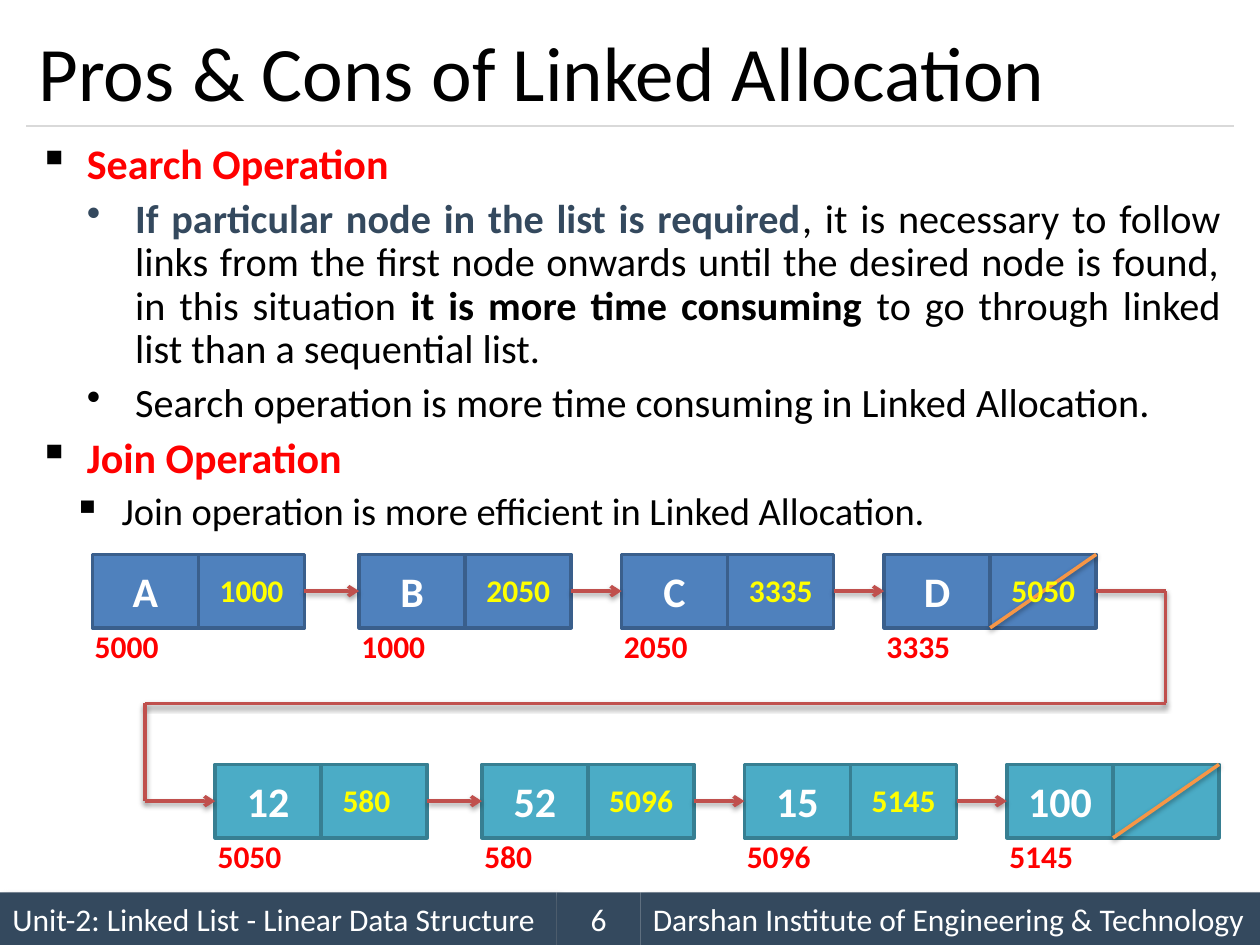
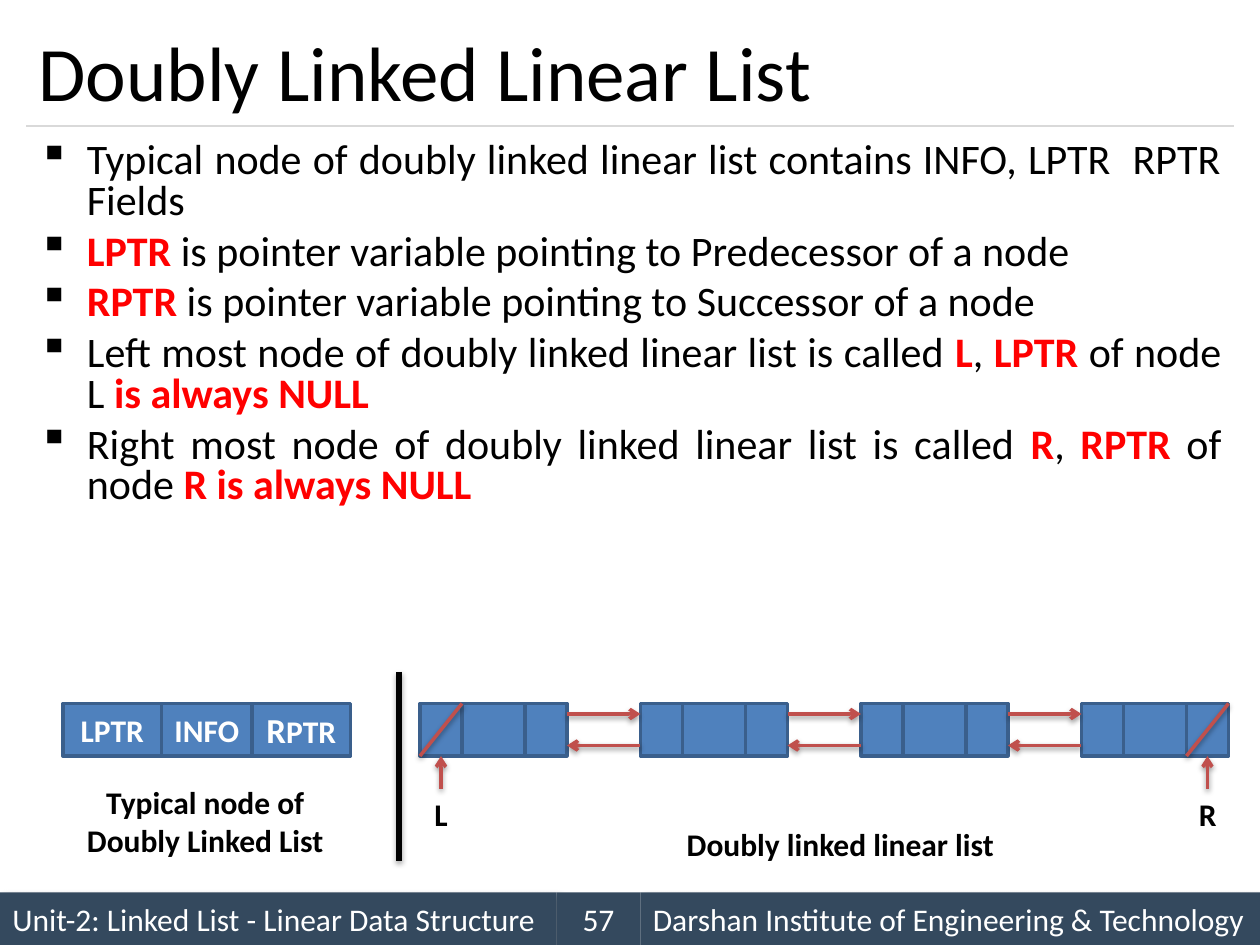
import pptx
import pptx.dml.color
import pptx.enum.shapes
import pptx.enum.text
import pptx.oxml
import pptx.oxml.ns
import pptx.util

# Grid: 120 columns by 90 rows, square cells
COLUMNS, ROWS = 120, 90
CELL = pptx.util.Inches(10) // COLUMNS

BLACK, WHITE, RED, YELLOW = "000000", "FFFFFF", "FF0000", "FFFF00"
SLATE, RULE_GREY, ARROW_RED, ORANGE = "34495E", "D9D9D9", "C0504D", "F79646"
BLUE_NODE = ("4F81BD", "3A5F8C")
TEAL_NODE = ("4BACC6", "377F92")

ALIGN = pptx.enum.text.PP_ALIGN
MIDDLE = pptx.enum.text.MSO_ANCHOR.MIDDLE
TOP = pptx.enum.text.MSO_ANCHOR.TOP
BOTTOM_SIDE, LEFT_SIDE, RIGHT_SIDE = 2, 1, 3
LINE_SHADOW = (38, 3.1, 1.6, 90)
BAND_SHADOW = (40, 4, 3, 45)

PLAIN = {"color": BLACK, "bold": False}
STRONG = {"color": BLACK, "bold": True}
KEY = {"color": RED, "bold": True}
SLATE_KEY = {"color": SLATE, "bold": True}

# Bullet levels: character, left indent in columns, fixed colour, size
HEADING = ("▪", 4.6, BLACK, 24)
DETAIL = ("•", 9.2, None, 23)
SUBPOINT = ("▪", 7.9, BLACK, 22)
HANG = 4.6


def grid(count):
    return pptx.util.Emu(round(count * CELL))


def rgb(value):
    return pptx.dml.color.RGBColor.from_string(value)


def apply(target, formats):
    for name, value in formats.items():
        setattr(target, name, value)


def xml(tag, parent, **attributes):
    element = parent.makeelement(pptx.oxml.ns.qn(tag), attributes)
    parent.append(element)
    return element


def set_effects(properties, shadow=None):
    effects = xml("a:effectLst", properties)
    if shadow:
        alpha, blur, distance, angle = shadow
        outer = xml("a:outerShdw", effects, blurRad=str(round(blur * 12700)),
                    dist=str(round(distance * 12700)), dir=str(angle * 60000), rotWithShape="0")
        xml("a:alpha", xml("a:srgbClr", outer, val=BLACK), val=str(alpha * 1000))


def add_run(paragraph, text, size, color=BLACK, bold=False):
    run = paragraph.add_run()
    run.text = text
    apply(run.font, {"name": "Calibri", "size": pptx.util.Pt(size), "bold": bold})
    run.font.color.rgb = rgb(color)


def add_text(slide, box, lines, size, color=BLACK, bold=False, align=ALIGN.LEFT,
             anchor=TOP, wrap=False):
    frame = slide.shapes.add_textbox(*map(grid, box)).text_frame
    apply(frame, {"word_wrap": wrap, "vertical_anchor": anchor})
    for number, line in enumerate(lines):
        paragraph = frame.add_paragraph() if number else frame.paragraphs[0]
        paragraph.alignment = align
        add_run(paragraph, line, size, color, bold)


def add_box(slide, box, fill, border=None, runs=(), bold=True, align=ALIGN.CENTER,
            margin=0, shadow=None):
    shape = slide.shapes.add_shape(pptx.enum.shapes.MSO_SHAPE.RECTANGLE, *map(grid, box))
    shape.fill.solid()
    shape.fill.fore_color.rgb = rgb(fill)
    if border:
        shape.line.color.rgb = rgb(border)
        shape.line.width = pptx.util.Pt(2)
    else:
        shape.line.fill.background()
    if shadow:
        set_effects(shape._element.spPr, shadow)
    else:
        shape.shadow.inherit = False
    frame = shape.text_frame
    apply(frame, {"margin_left": grid(margin), "margin_right": grid(margin),
                  "vertical_anchor": MIDDLE})
    frame.paragraphs[0].alignment = align
    for text, size in runs:
        add_run(frame.paragraphs[0], text, size, WHITE, bold)
    return shape


def add_line(slide, start, end, color=ARROW_RED, width=2, arrow=False,
             shadow=LINE_SHADOW, begin=None, finish=None):
    line = slide.shapes.add_connector(pptx.enum.shapes.MSO_CONNECTOR.STRAIGHT,
                                      *map(grid, (*start, *end)))
    line.line.color.rgb = rgb(color)
    line.line.width = pptx.util.Pt(width)
    if arrow:
        xml("a:tailEnd", line.line._get_or_add_ln(), type="arrow")
    set_effects(line._element.spPr, shadow)
    if begin:
        line.begin_connect(*begin)
    if finish:
        line.end_connect(*finish)


def add_bullets(slide, height, items, spacing):
    frame = slide.shapes.add_textbox(*map(grid, (2.5, 13, 115, height))).text_frame
    frame.word_wrap = True
    for number, (level, runs) in enumerate(items):
        character, indent, color, size = level
        paragraph = frame.add_paragraph() if number else frame.paragraphs[0]
        properties = paragraph._p.get_or_add_pPr()
        apply(paragraph, {"alignment": ALIGN.JUSTIFY, "line_spacing": spacing,
                          "space_before": pptx.util.Pt(6 if number else 0)})
        properties.set("marL", str(grid(indent)))
        properties.set("indent", str(-grid(HANG)))
        if color:
            xml("a:srgbClr", xml("a:buClr", properties), val=color)
        xml("a:buChar", properties, char=character)
        for text, style in runs:
            add_run(paragraph, text, size, **style)


def start_slide(deck, title, number):
    """Blank slide with the shared title, rule and footer bands."""
    slide = deck.slides.add_slide(deck.slide_layouts[6])
    bands = [
        (0, 53, "Unit-2: Linked List - Linear Data Structure", ALIGN.LEFT, BAND_SHADOW),
        (61, 59, "Darshan Institute of Engineering & Technology", ALIGN.LEFT, BAND_SHADOW),
        (53, 8, str(number), ALIGN.CENTER, None),
    ]
    for left, width, text, align, shadow in bands:
        add_box(slide, (left, 85, width, 5), SLATE, runs=[(text, 18)], bold=False,
                align=align, margin=1.2, shadow=shadow)
    add_line(slide, (2.5, 12), (117.5, 12), RULE_GREY, 0.75, shadow=None)
    add_text(slide, (2.5, 1.5, 115, 10.5), [title], 44, anchor=MIDDLE, wrap=True)
    return slide


def add_number(slide, left, top, text, color):
    add_text(slide, (left, top, 2.4 + 1.52 * len(text), 4.8), [text], 18, color, bold=True)


def add_chain(slide, left, top, colors, nodes):
    """Singly linked nodes (value, pointer, address); returns first and last cells."""
    width, height = 10.1, 7
    cells = []
    for offset, (value, pointer, address) in zip((0, 25.4, 50.4, 75.4), nodes):
        x = left + offset
        data = add_box(slide, (x, top, width, height), *colors, runs=[(value, 24)])
        link = add_box(slide, (x + width, top, width, height), *colors)
        if cells:
            add_line(slide, (x - 5, top), (x, top), arrow=True,
                     begin=(cells[-1], RIGHT_SIDE), finish=(data, LEFT_SIDE))
        if address == nodes[-1][2]:
            add_line(slide, (x + 2 * width, top), (x + width, top + height), ORANGE)
        add_number(slide, x - 0.96, top + 6.36, address, RED)
        if pointer:
            add_number(slide, x + width + 0.84, top + 1.04, pointer, YELLOW)
        cells += [data, link]
    return cells[0], cells[-1]


def build_linked_allocation(deck):
    slide = start_slide(deck, "Pros & Cons of Linked Allocation", 6)
    add_bullets(slide, 49.8, [
        (HEADING, [("Search Operation", KEY)]),
        (DETAIL, [("If particular node in the list is required", SLATE_KEY),
                  (", it is necessary to follow links from the first node onwards until "
                   "the desired node is found, in this situation ", PLAIN),
                  ("it is more time consuming ", STRONG),
                  ("to go through linked list than a sequential list.", PLAIN)]),
        (DETAIL, [("Search operation is more time consuming in Linked Allocation.", PLAIN)]),
        (HEADING, [("Join Operation", KEY)]),
        (SUBPOINT, [("Join operation is more efficient in Linked Allocation.", PLAIN)]),
    ], 0.9)

    # The two lists
    last_letter = add_chain(slide, 8.8, 52.8, BLUE_NODE, [
        ("A", "1000", "5000"), ("B", "2050", "1000"),
        ("C", "3335", "2050"), ("D", "5050", "3335")])[1]
    first_number = add_chain(slide, 20.5, 72.8, TEAL_NODE, [
        ("12", "580", "5050"), ("52", "5096", "580"),
        ("15", "5145", "5096"), ("100", "", "5145")])[0]

    # Route that joins them
    route = [(104.4, 56.3), (111, 56.3), (111, 67), (13.8, 67), (13.8, 76.3), (20.5, 76.3)]
    last = len(route) - 2
    for leg, (start, end) in enumerate(zip(route, route[1:])):
        add_line(slide, start, end, arrow=leg == last,
                 begin=None if leg else (last_letter, RIGHT_SIDE),
                 finish=(first_number, LEFT_SIDE) if leg == last else None)


def add_row(slide, left, top, widths, labels):
    """Adjoining cells of one doubly linked node."""
    cells = []
    for width, runs in zip(widths, labels):
        cells.append(add_box(slide, (left, top, width, 5), *BLUE_NODE, runs=runs))
        left += width
    return cells


def build_doubly_linked(deck):
    slide = start_slide(deck, "Doubly Linked Linear List", 57)
    add_bullets(slide, 39, [(HEADING, runs) for runs in (
        [("Typical node of doubly linked linear list contains INFO, LPTR  RPTR Fields", PLAIN)],
        [("LPTR ", KEY), ("is pointer variable pointing to Predecessor of a node", PLAIN)],
        [("RPTR ", KEY), ("is pointer variable pointing to Successor of a node", PLAIN)],
        [("Left most node of doubly linked linear list is called ", PLAIN), ("L", KEY),
         (", ", PLAIN), ("LPTR ", KEY), ("of node L", PLAIN), (" is always NULL", KEY)],
        [("Right most node of doubly linked linear list is called ", PLAIN), ("R", KEY),
         (", ", PLAIN), ("RPTR ", KEY), ("of node ", PLAIN), ("R is always NULL", KEY)],
    )], 0.8)

    # Typical node and divider
    top = 67
    add_row(slide, 6, top, (9.4, 8.6, 9.4),
            ([("LPTR", 18)], [("INFO", 18)], [("R", 20), ("PTR", 18)]))
    add_line(slide, (38, 64), (38, 82), BLACK, 3)

    # Four nodes with links both ways
    lefts = range(40, 104, 21)
    nodes = [add_row(slide, left, top, (4, 6, 4), ([], [], [])) for left in lefts]
    for left in lefts[:-1]:
        gap_start, gap_end = left + 14, left + 21
        add_line(slide, (gap_start, top + 1), (gap_end, top + 1), arrow=True)
        add_line(slide, (gap_end, top + 4), (gap_start, top + 4), arrow=True)

    # Null ends with their names
    for name, left, end_cell in (("L", 40, nodes[0][0]), ("R", 113, nodes[-1][2])):
        add_line(slide, (left + 4, top), (left, top + 5))
        add_line(slide, (left + 2, 75.1), (left + 2, 72), arrow=True,
                 finish=(end_cell, BOTTOM_SIDE))
        add_text(slide, (left, 75.1, 4, 4.8), [name], 18, bold=True, align=ALIGN.CENTER)

    # Captions
    for box, lines in (((64.1, 78, 31.9, 4.8), ["Doubly linked linear list"]),
                       ((7, 74, 25.1, 8.5), ["Typical node of", "Doubly Linked List"])):
        add_text(slide, box, lines, 18, bold=True, align=ALIGN.CENTER)


def main():
    deck = pptx.Presentation()
    apply(deck, {"slide_width": grid(COLUMNS), "slide_height": grid(ROWS)})
    build_linked_allocation(deck)
    build_doubly_linked(deck)
    deck.save("out.pptx")


if __name__ == "__main__":
    main()
